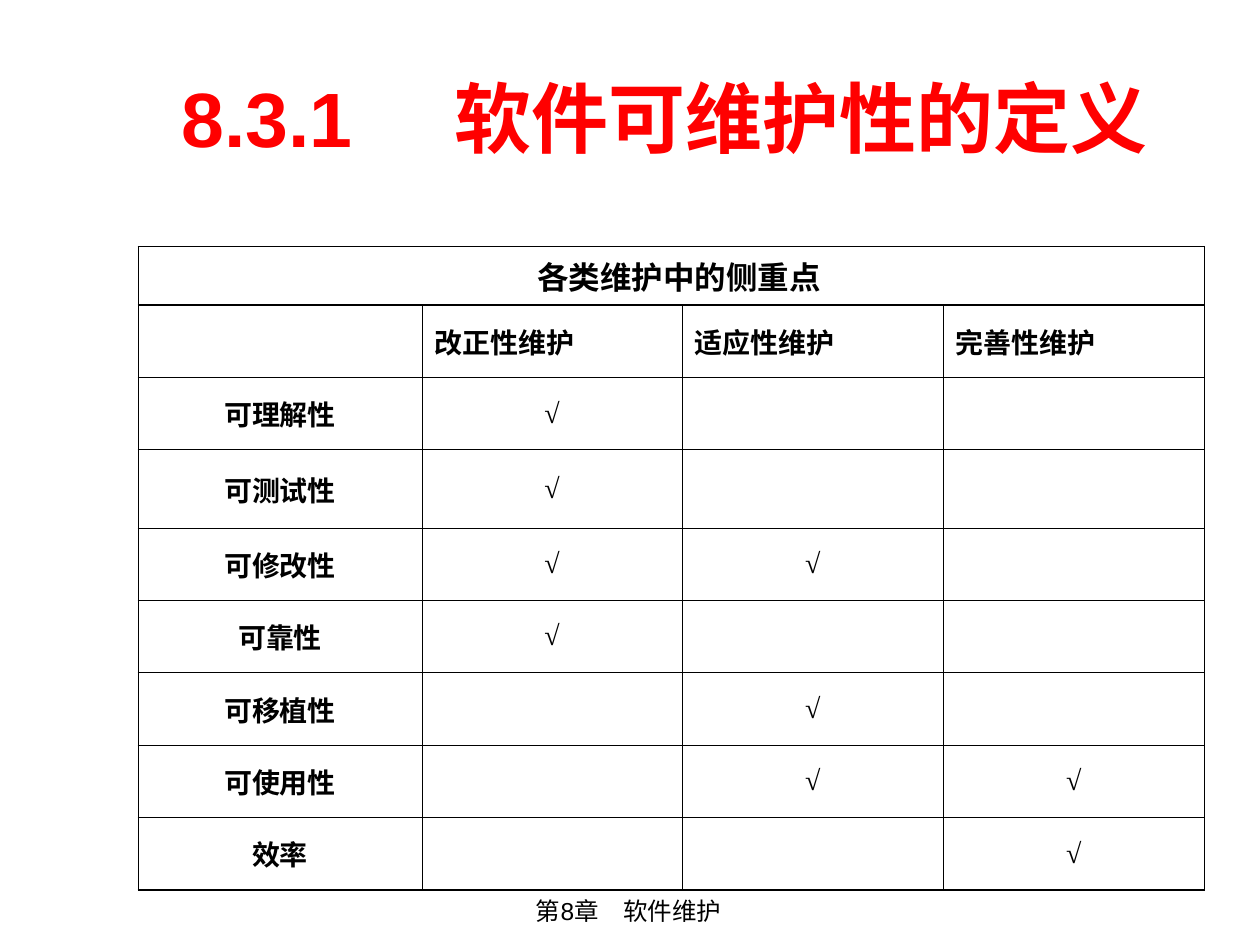
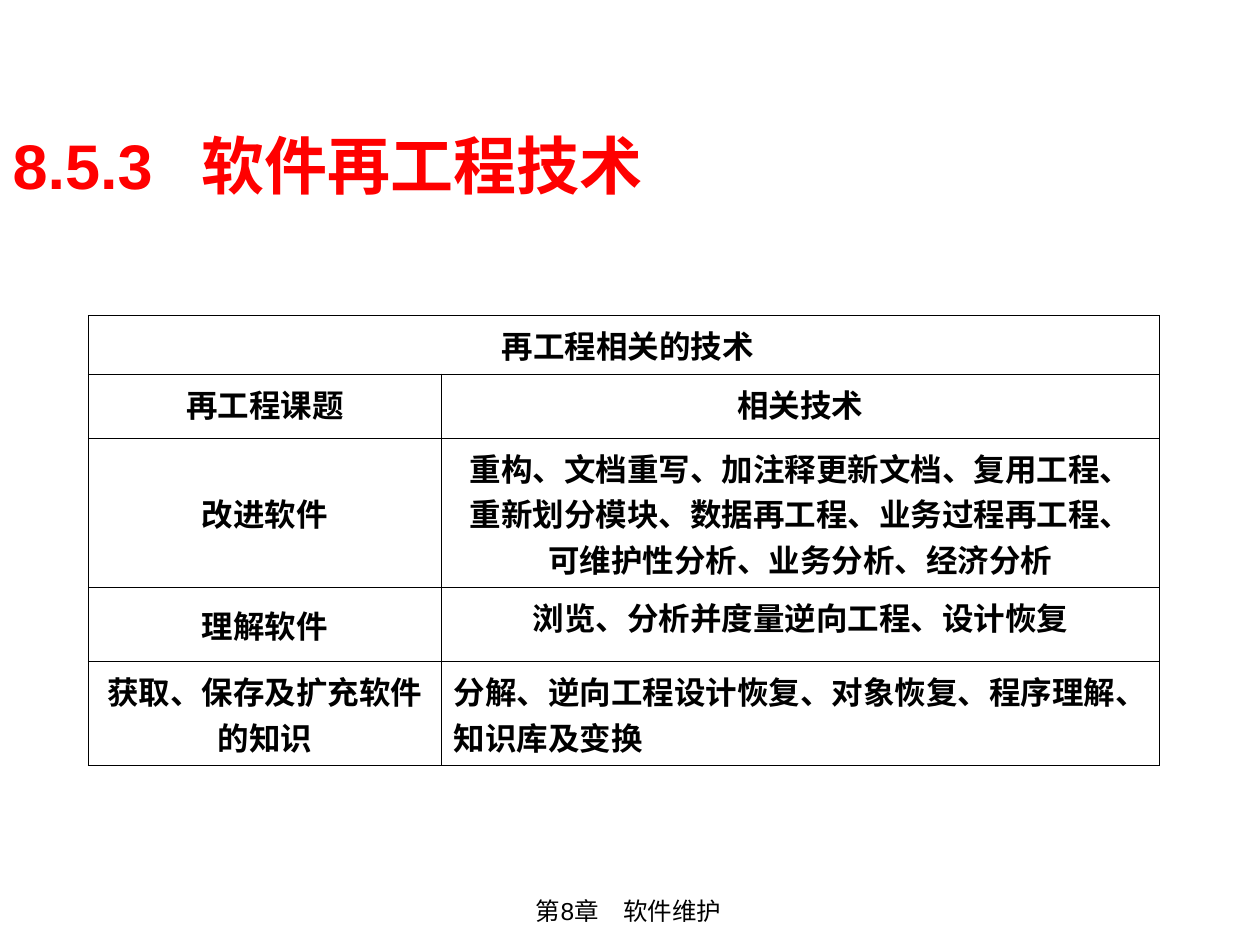
from lxml import etree
from pptx import Presentation
from pptx.dml.color import RGBColor
from pptx.enum.text import MSO_ANCHOR, MSO_AUTO_SIZE, PP_ALIGN
from pptx.oxml.ns import qn
from pptx.util import Pt

RED = RGBColor(0xFF, 0x00, 0x00)
BLACK = RGBColor(0x00, 0x00, 0x00)
SANS, SERIF, CJK = "Arial", "Times New Roman", "Noto Sans CJK SC"
LEFT, CENTER = PP_ALIGN.LEFT, PP_ALIGN.CENTER
TOP, MIDDLE = MSO_ANCHOR.TOP, MSO_ANCHOR.MIDDLE
INSET = 7.2
OUTER, INNER, HEAVY = 0.34, 0.45, 0.96

# Content
FOOTER = "第8章　软件维护"

FOCUS_TITLE = "8.3.1\t软件可维护性的定义"
FOCUS_CAPTION = "各类维护中的侧重点"
MAINTENANCE = ["改正性维护", "适应性维护", "完善性维护"]
QUALITIES = [  # quality, kinds of maintenance that stress it
    ("可理解性", [0]),
    ("可测试性", [0]),
    ("可修改性", [0, 1]),
    ("可靠性", [0]),
    ("可移植性", [1]),
    ("可使用性", [1, 2]),
    ("效率", [2]),
]

REWORK_TITLE = "8.5.3\t软件再工程技术"
REWORK_CAPTION = "再工程相关的技术"
REWORK_ROWS = [
    ("再工程课题", "相关技术"),
    ("改进软件", "重构、文档重写、加注释更新文档、复用工程、重新划分模块、"
                 "数据再工程、业务过程再工程、可维护性分析、业务分析、经济分析"),
    ("理解软件", "浏览、分析并度量逆向工程、设计恢复"),
    ("获取、保存及扩充软件的知识",
     "分解、逆向工程设计恢复、对象恢复、程序理解、知识库及变换"),
]


def write(tf, text, size, font, color=BLACK, bold=False, align=LEFT, tab=None):
    p = tf.paragraphs[0]
    p.alignment = align
    if tab:
        tabs = etree.SubElement(p._p.get_or_add_pPr(), qn("a:tabLst"))
        etree.SubElement(tabs, qn("a:tab"), pos=str(int(Pt(tab))), algn="l")
    r = p.add_run()
    r.text = text
    r.font.size, r.font.name, r.font.bold = Pt(size), font, bold
    r.font.color.rgb = color
    etree.SubElement(r._r.get_or_add_rPr(), qn("a:ea"), typeface=CJK)


def place(sp, left, top, width, height):
    sp.left, sp.top, sp.width, sp.height = map(Pt, (left, top, width, height))


def add_title(slide, text, box, size, tab, indent=0):
    sp = slide.shapes.title
    place(sp, *box)
    tf = sp.text_frame
    tf.auto_size, tf.vertical_anchor = MSO_AUTO_SIZE.NONE, MIDDLE
    tf.margin_left = Pt(INSET + indent)
    write(tf, text, size, SANS, RED, bold=True, tab=tab)


def set_borders(cell, widths):
    tcPr = cell._tc.get_or_add_tcPr()
    for i, (side, width) in enumerate(zip("LRTB", widths)):
        ln = etree.Element(qn(f"a:ln{side}"), w=str(int(Pt(width))))
        fill = etree.SubElement(ln, qn("a:solidFill"))
        etree.SubElement(fill, qn("a:srgbClr"), val=str(BLACK))
        tcPr.insert(i, ln)


def add_grid(slide, left, top, widths, heights, caption, rows, style, shift):
    """Table with a caption row across it; style(r, c) gives size, align, anchor."""
    n_rows, n_cols = len(heights), len(widths)
    table = slide.shapes.add_table(n_rows, n_cols, Pt(left), Pt(top),
                                   Pt(sum(widths)), Pt(sum(heights))).table
    table.first_row = table.horz_banding = False
    for col, width in zip(table.columns, widths):
        col.width = Pt(width)
    for row, height in zip(table.rows, heights):
        row.height = Pt(height)
    table.cell(0, 0).merge(table.cell(0, n_cols - 1))
    table.cell(0, 0).margin_left = Pt(INSET + shift)

    col_lines = [OUTER] + [INNER] * (n_cols - 1) + [OUTER]
    row_lines = [OUTER, HEAVY, HEAVY] + [INNER] * (n_rows - 3) + [HEAVY]
    font = CJK if n_cols == 2 else SERIF
    for r, texts in enumerate([[caption]] + rows):
        for c, text in enumerate(texts):
            cell = table.cell(r, c)
            size, align, anchor = style(r, c)
            cell.vertical_anchor = anchor
            cell.fill.background()
            right = col_lines[c + 1] if r else OUTER
            set_borders(cell, (col_lines[c], right, row_lines[r], row_lines[r + 1]))
            if text:
                write(cell.text_frame, text, size, font, bold=True, align=align)


def focus_style(r, c):
    return (16 if r else 18), (LEFT if r == 1 else CENTER), MIDDLE


def rework_style(r, c):
    align = LEFT if (r, c) == (4, 1) else CENTER
    return 18, align, (MIDDLE if r in (2, 3) and c == 0 else TOP)


def main():
    prs = Presentation()
    prs.slide_width, prs.slide_height = Pt(720), Pt(540)
    layout = prs.slide_layouts[5]
    for sp in list(layout.placeholders)[1:]:
        sp.element.getparent().remove(sp.element)

    # Maintainability table
    slide = prs.slides.add_slide(layout)
    add_title(slide, FOCUS_TITLE, (72, 21.6, 612, 90), 44, tab=156.4, indent=24.4)

    # Footer, kept on the shared layout
    box = slide.shapes.add_textbox(Pt(169.2), Pt(508.6), Pt(380.2), Pt(24.5))
    box.text_frame.word_wrap = True
    write(box.text_frame, FOOTER, 14, SANS, align=CENTER)
    layout.shapes.element.append(box.element)

    rows = [[""] + MAINTENANCE]
    rows += [[name] + ["√" if k in kinds else "" for k in range(len(MAINTENANCE))]
             for name, kinds in QUALITIES]
    heights = [33.7, 41.4, 41.4, 44.6] + [41.4] * 5
    add_grid(slide, 78.8, 140.6, [162.4, 148.6, 149.2, 149.2], heights,
             FOCUS_CAPTION, rows, focus_style, shift=9)

    # Re-engineering table
    slide = prs.slides.add_slide(layout)
    add_title(slide, REWORK_TITLE, (0, 59.8, 703.4, 68.4), 36, tab=107.7)
    add_grid(slide, 50.4, 180.2, [201.8, 410.2], [33.7, 36.6, 79.4, 42.3, 56],
             REWORK_CAPTION, REWORK_ROWS, rework_style, shift=4.5)

    prs.save("out.pptx")


if __name__ == "__main__":
    main()
